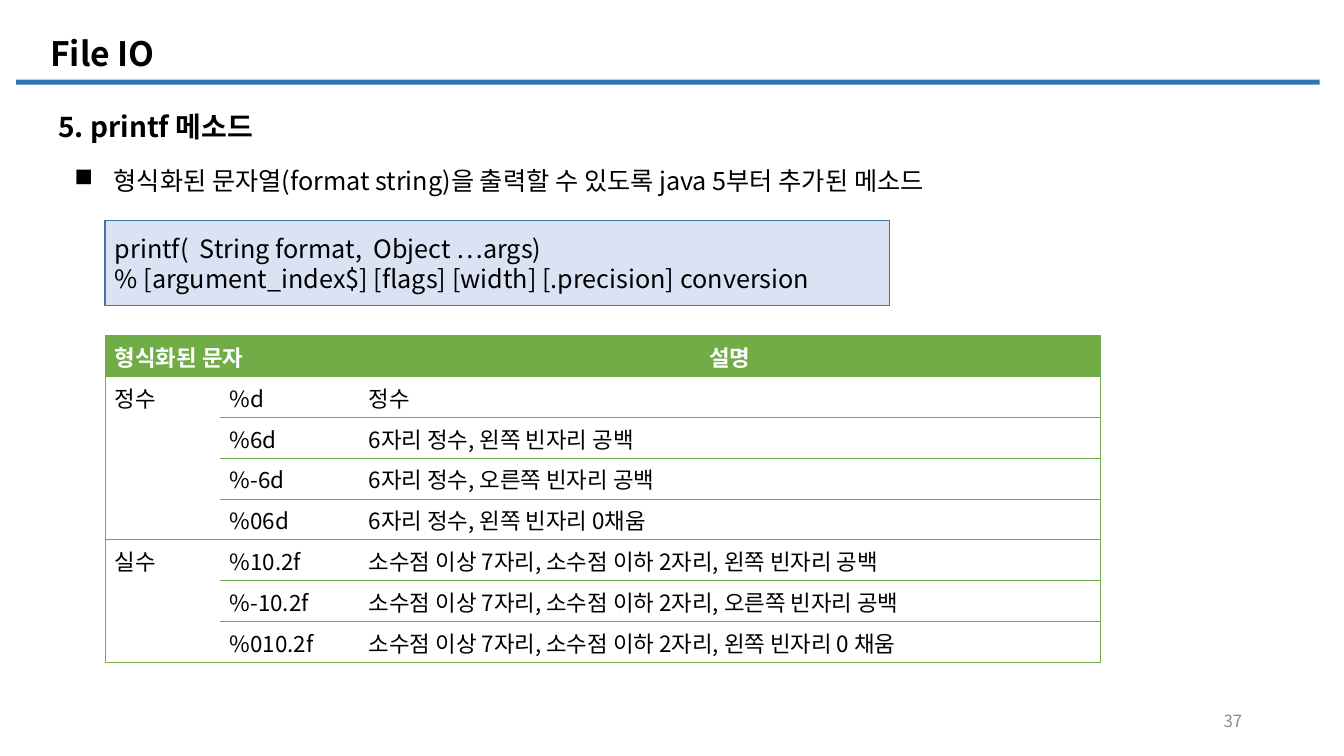
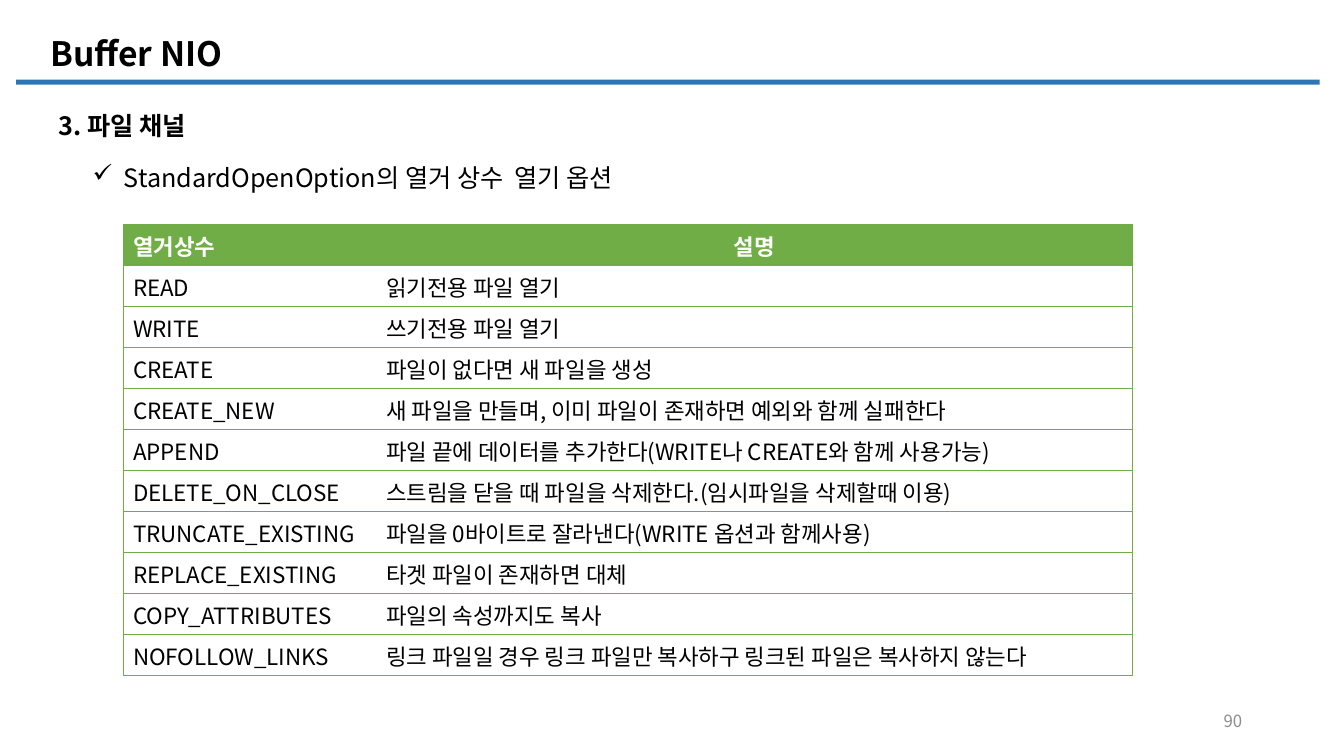
"""Build two lecture slides on printf formats and file open options."""
from lxml import etree
from pptx import Presentation
from pptx import util as u
from pptx.dml import color
from pptx.enum import shapes, text
from pptx.oxml import ns

FONT = "Noto Sans CJK KR"
BLACK, WHITE, GRAY = "000000", "FFFFFF", "8C8C8C"
BLUE, PALE_BLUE, EDGE_BLUE, GREEN = "2E75B6", "DAE3F3", "43739E", "70AD47"
CENTER, RIGHT = text.PP_ALIGN.CENTER, text.PP_ALIGN.RIGHT
MIDDLE, TOP = text.MSO_ANCHOR.MIDDLE, text.MSO_ANCHOR.TOP


def rgb(code):
    return color.RGBColor.from_string(code)


def write(frame, content, size=18, ink=BLACK, bold=False, align=None,
          anchor=TOP, bullet=None, indent=0):
    frame.word_wrap = True
    frame.vertical_anchor = anchor
    for number, line in enumerate(content.split("\n")):
        paragraph = frame.add_paragraph() if number else frame.paragraphs[0]
        paragraph.alignment = align
        run = paragraph.add_run()
        run.text = line
        run.font.name, run.font.size, run.font.bold = FONT, u.Pt(size), bold
        run.font.color.rgb = rgb(ink)
        east_asian = etree.SubElement(run.font._element, ns.qn("a:ea"))
        east_asian.set("typeface", FONT)
        if bullet:
            properties = paragraph._p.get_or_add_pPr()
            properties.set("marL", str(u.Inches(indent)))
            properties.set("indent", str(-u.Inches(indent)))
            etree.SubElement(properties, ns.qn("a:buChar")).set("char", bullet)


def draw_borders(cell, sides):
    properties = cell._tc.get_or_add_tcPr()
    for position, side in enumerate("LRTB"):
        border = etree.Element(ns.qn("a:ln" + side), w=str(u.Pt(0.5)))
        if side in sides:
            solid = etree.SubElement(border, ns.qn("a:solidFill"))
            etree.SubElement(solid, ns.qn("a:srgbClr")).set("val", GREEN)
        else:
            etree.SubElement(border, ns.qn("a:noFill"))
        properties.insert(position, border)


class Deck:
    """Draw styled elements, placed in hundredths of the slide's size."""

    def __init__(self):
        self.show = Presentation()
        self.show.slide_width = u.Inches(13.33)
        self.show.slide_height = u.Inches(7.5)
        self.slide = None

    def across(self, share):
        return round(self.show.slide_width * share / 100)

    def down(self, share):
        return round(self.show.slide_height * share / 100)

    def place(self, left, top, width, height):
        return (self.across(left), self.down(top),
                self.across(width), self.down(height))

    def start(self, title, number):
        self.slide = self.show.slides.add_slide(self.show.slide_layouts[6])
        self.panel((1.2, 10.53, 97, 0.67), BLUE)
        self.label((3, 3.47, 71.4, 7.07), title, size=24, bold=True, anchor=MIDDLE)
        self.label((70.67, 92.67, 22.5, 5.33), number, size=12, ink=GRAY,
                   align=RIGHT, anchor=MIDDLE)

    def label(self, area, content, **style):
        box = self.slide.shapes.add_textbox(*self.place(*area))
        write(box.text_frame, content, **style)

    def panel(self, area, fill, edge=None, content=None):
        box = self.slide.shapes.add_shape(
            shapes.MSO_SHAPE.RECTANGLE, *self.place(*area))
        box.shadow.inherit = False
        box.fill.solid()
        box.fill.fore_color.rgb = rgb(fill)
        if edge:
            box.line.color.rgb = rgb(edge)
            box.line.width = u.Pt(1)
        else:
            box.line.fill.background()
        if content:
            write(box.text_frame, content, align=text.PP_ALIGN.LEFT, anchor=MIDDLE)

    def table(self, left, top, widths, height, rows, merges=()):
        area = self.place(left, top, sum(widths), height)
        grid = self.slide.shapes.add_table(len(rows), len(widths), *area).table
        for column, width in zip(grid.columns, widths):
            column.width = self.across(width)
        for row in grid.rows:
            row.height = area[3] // len(rows)
        for first, last in merges:
            grid.cell(*first).merge(grid.cell(*last))
        final = len(widths) - 1
        for r, row in enumerate(rows):
            for c, content in enumerate(row):
                cell = grid.cell(r, c)
                if r:
                    cell.fill.background()
                else:
                    cell.fill.solid()
                    cell.fill.fore_color.rgb = rgb(GREEN)
                sides = "" if cell.is_spanned and r else "TB"
                sides += "L" * (c == 0) + "R" * (c == final)
                draw_borders(cell, sides)
                if content:
                    write(cell.text_frame, content, size=16, bold=r == 0,
                          ink=BLACK if r else WHITE,
                          align=CENTER if r == 0 and c == final else None)


FORMATS = [
    ("형식화된 문자", "", "설명"),
    ("정수", "%d", "정수"),
    ("", "%6d", "6자리 정수, 왼쪽 빈자리 공백"),
    ("", "%-6d", "6자리 정수, 오른쪽 빈자리 공백"),
    ("", "%06d", "6자리 정수, 왼쪽 빈자리 0채움"),
    ("실수", "%10.2f", "소수점 이상 7자리, 소수점 이하 2자리, 왼쪽 빈자리 공백"),
    ("", "%-10.2f", "소수점 이상 7자리, 소수점 이하 2자리, 오른쪽 빈자리 공백"),
    ("", "%010.2f", "소수점 이상 7자리, 소수점 이하 2자리, 왼쪽 빈자리 0 채움"),
]
OPTIONS = [
    ("열거상수", "설명"),
    ("READ", "읽기전용 파일 열기"),
    ("WRITE", "쓰기전용 파일 열기"),
    ("CREATE", "파일이 없다면 새 파일을 생성"),
    ("CREATE_NEW", "새 파일을 만들며, 이미 파일이 존재하면 예외와 함께 실패한다"),
    ("APPEND", "파일 끝에 데이터를 추가한다(WRITE나 CREATE와 함께 사용가능)"),
    ("DELETE_ON_CLOSE", "스트림을 닫을 때 파일을 삭제한다.(임시파일을 삭제할때 이용)"),
    ("TRUNCATE_EXISTING", "파일을 0바이트로 잘라낸다(WRITE 옵션과 함께사용)"),
    ("REPLACE_EXISTING", "타겟 파일이 존재하면 대체"),
    ("COPY_ATTRIBUTES", "파일의 속성까지도 복사"),
    ("NOFOLLOW_LINKS", "링크 파일일 경우 링크 파일만 복사하구 링크된 파일은 복사하지 않는다"),
]


def main():
    deck = Deck()

    deck.start("File IO", "37")
    deck.label((3.6, 13.87, 41.2, 5.87), "5. printf 메소드", size=20, bold=True)
    deck.label((4.8, 21.2, 82.3, 5.33),
               "형식화된 문자열(format string)을 출력할 수 있도록 java 5부터 추가된 메소드",
               bullet="■", indent=0.39)
    deck.panel((7.8, 29.2, 58.4, 11.2), PALE_BLUE, EDGE_BLUE,
               "printf(  String format,  Object …args)\n"
               "% [argument_index$] [flags] [width] [.precision] conversion")
    deck.table(7.8, 44.4, (8.55, 10.35, 55.2), 43.2, FORMATS,
               merges=[((0, 0), (0, 1)), ((1, 0), (4, 0)), ((5, 0), (7, 0))])

    deck.start("Buffer NIO", "90")
    deck.label((3.6, 13.87, 68.8, 5.33), "3. 파일 채널", bold=True)
    deck.label((6.15, 20.8, 89.6, 5.33), "StandardOpenOption의 열거 상수  열기 옵션",
               bullet="✓", indent=0.31)
    deck.table(9.15, 29.73, (18.83, 56.26), 59.6, OPTIONS)

    deck.show.save("out.pptx")


if __name__ == "__main__":
    main()
